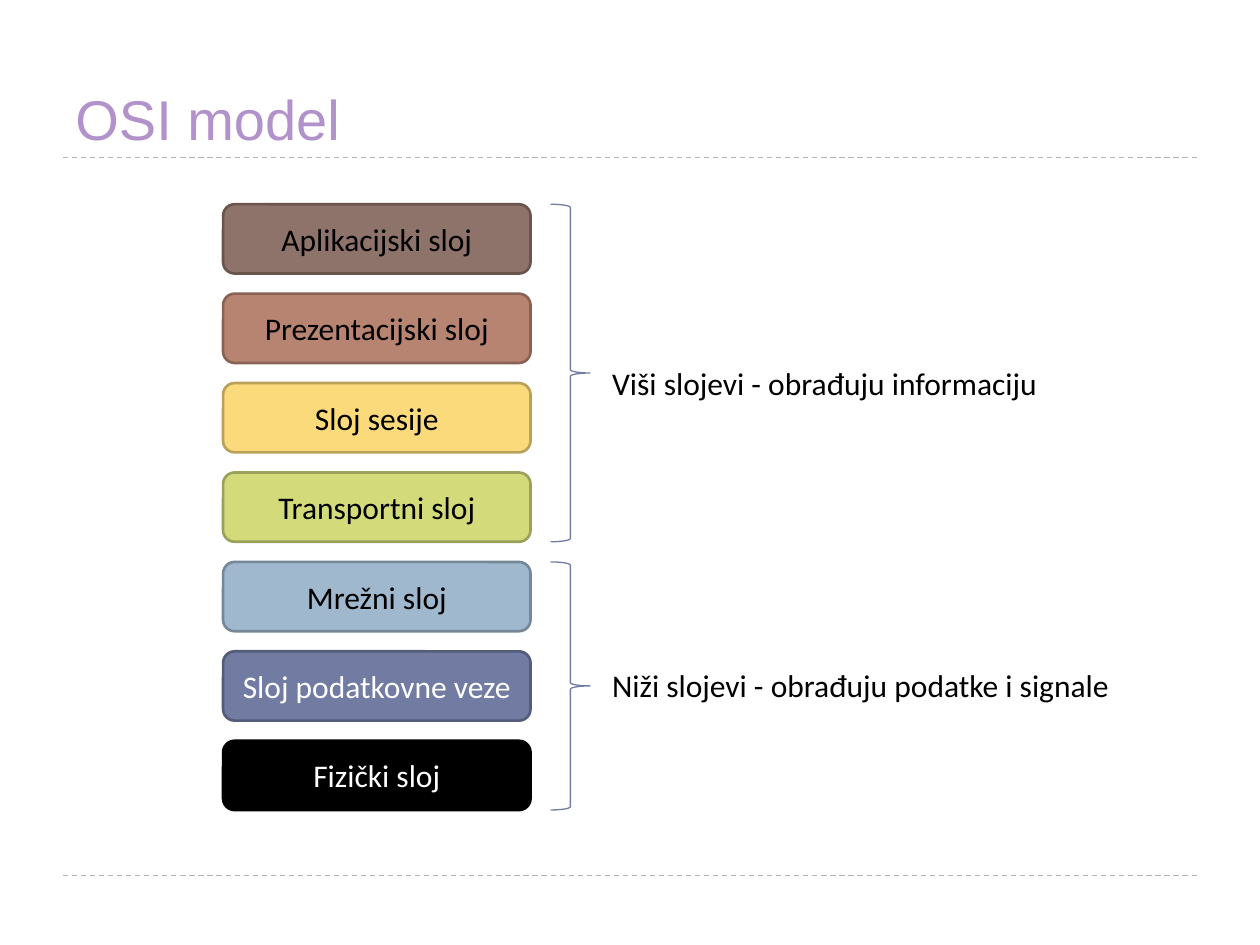
from lxml import etree
from pptx import Presentation
from pptx.dml.color import RGBColor
from pptx.enum.dml import MSO_LINE
from pptx.enum.shapes import MSO_CONNECTOR, MSO_SHAPE
from pptx.enum.text import MSO_ANCHOR, PP_ALIGN
from pptx.oxml.ns import qn
from pptx.util import Pt

COLORS = {
    "title": "B292CA", "rule": "B4B4B4", "brace": "727CA3",
    "dark": "000000", "light": "FFFFFF",
}
# name, fill, outline, text colour
LAYERS = [
    ("Aplikacijski sloj", "8E736A", "69554E", "dark"),
    ("Prezentacijski sloj", "B88472", "886254", "dark"),
    ("Sloj sesije", "FADA7A", "B9A15A", "dark"),
    ("Transportni sloj", "D2DA7A", "9BA15A", "dark"),
    ("Mrežni sloj", "9FB8CD", "768898", "dark"),
    ("Sloj podatkovne veze", "727CA3", "545C79", "light"),
    ("Fizički sloj", "000000", "000000", "light"),
]
# first layer, last layer, label, label top
GROUPS = [
    (0, 3, "Viši slojevi - obrađuju informaciju", 204.5),
    (4, 6, "Niži slojevi - obrađuju podatke i signale", 377.3),
]
LAYER_HEIGHT, LAYER_PITCH = 39.6, 51.1


def rgb(value):
    return RGBColor.from_string(value)


def write(shape, text, size, font, color, align, anchor):
    frame = shape.text_frame
    frame.word_wrap = True
    frame.vertical_anchor = anchor
    para = frame.paragraphs[0]
    para.text = text
    para.alignment = align
    para.font.size = Pt(size)
    para.font.name = font
    para.font.color.rgb = rgb(COLORS[color])


def add_text(page, box, text, size, font, color, anchor):
    shape = page.shapes.add_textbox(*map(Pt, box))
    write(shape, text, size, font, color, PP_ALIGN.LEFT, anchor)


def add_rule(page, left, top, width):
    rule = page.shapes.add_connector(
        MSO_CONNECTOR.STRAIGHT, Pt(left), Pt(top), Pt(left + width), Pt(top))
    rule.line.color.rgb = rgb(COLORS["rule"])
    rule.line.width = Pt(0.75)
    rule.line.dash_style = MSO_LINE.DASH
    etree.SubElement(rule._element.spPr, qn("a:effectLst"))


def add_header(page, left, top, width, height):
    add_text(page, (left, top, width, height), "OSI model", 32, "Arial",
             "title", MSO_ANCHOR.BOTTOM)
    add_rule(page, left, top + height, width)


def add_layers(page, left, top, width):
    """Stack the seven layers at equal steps."""
    for index, (name, fill, outline, text_color) in enumerate(LAYERS):
        layer = page.shapes.add_shape(
            MSO_SHAPE.ROUNDED_RECTANGLE, Pt(left), Pt(top + index * LAYER_PITCH),
            Pt(width), Pt(LAYER_HEIGHT))
        layer.shadow.inherit = False
        layer.fill.solid()
        layer.fill.fore_color.rgb = rgb(fill)
        layer.line.color.rgb = rgb(outline)
        layer.line.width = Pt(1.5)
        write(layer, name, 18, "Calibri", text_color, PP_ALIGN.CENTER,
              MSO_ANCHOR.MIDDLE)


def add_groups(page, left, top, width):
    """Brace each group of layers and label it."""
    for first, last, label, label_top in GROUPS:
        height = (last - first) * LAYER_PITCH + LAYER_HEIGHT
        brace = page.shapes.add_shape(
            MSO_SHAPE.RIGHT_BRACE, Pt(left), Pt(top + first * LAYER_PITCH),
            Pt(22.5), Pt(height))
        brace.shadow.inherit = False
        brace.fill.background()
        brace.line.color.rgb = rgb(COLORS["brace"])
        brace.line.width = Pt(0.75)
        add_text(page, (left + 28, label_top, width - 28, 51), label, 18,
                 "Calibri", "dark", MSO_ANCHOR.TOP)


def main():
    deck = Presentation()
    deck.slide_width, deck.slide_height = Pt(720), Pt(540)
    page = deck.slides.add_slide(deck.slide_layouts[6])
    add_rule(page, 36, 500.4, 648)
    add_header(page, 36, 12, 648, 78)
    add_layers(page, 127.5, 116.7, 175.7)
    add_groups(page, 314.7, 116.7, 363)
    deck.save("out.pptx")


if __name__ == "__main__":
    main()
